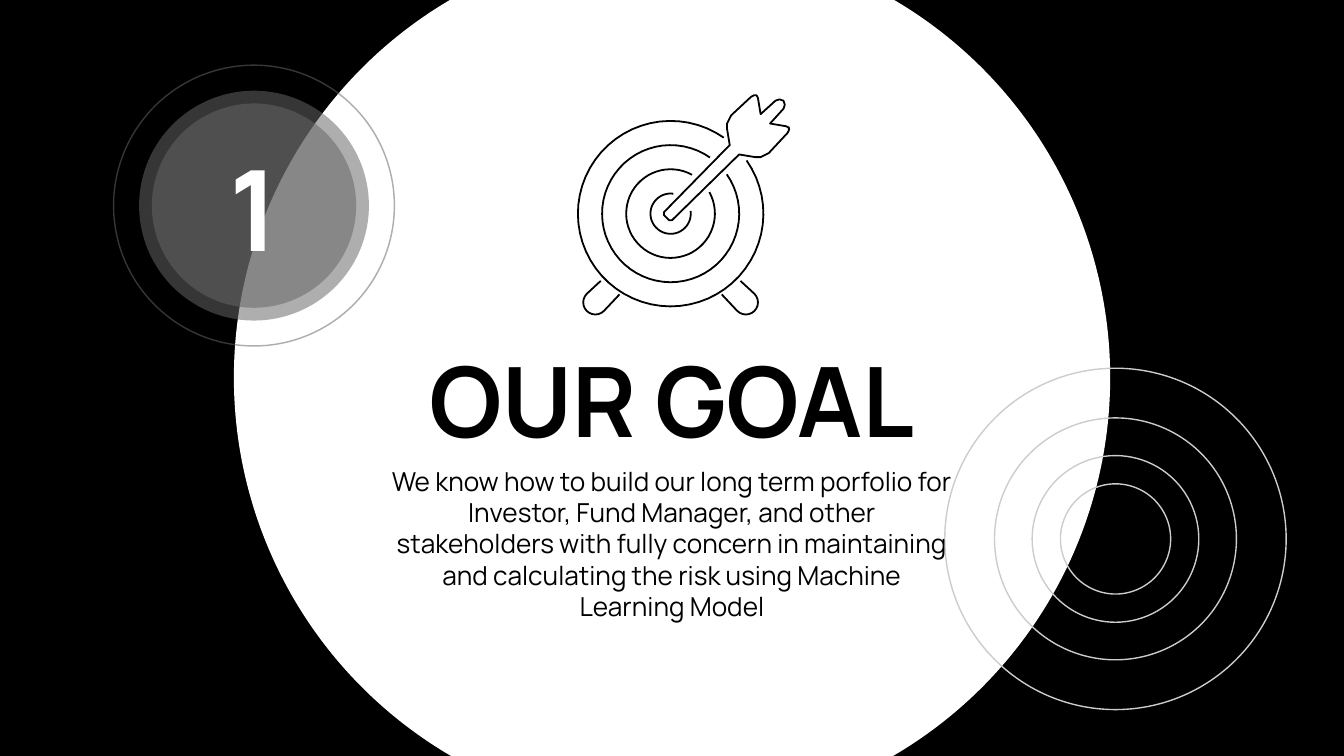
import math

import pptx
import pptx.util
import pptx.dml.color
import pptx.enum.shapes
import pptx.enum.text
import pptx.oxml.ns
import lxml.etree

Inches = pptx.util.Inches
Pt = pptx.util.Pt
Kind = pptx.enum.shapes.MSO_SHAPE
Anchor = pptx.enum.text.MSO_ANCHOR
Align = pptx.enum.text.PP_ALIGN

HUES = {"black": "000000", "white": "FFFFFF", "ring": "CCCCCC", "gray": "666666"}
FONT = "Manrope"


def color(name):
    return pptx.dml.color.RGBColor.from_string(HUES[name])


def paint(shape, fill=None, line=None, width=0.75, alpha=None):
    """Set fill, outline and opacity (percent) of a shape."""
    shape.shadow.inherit = False
    if fill:
        shape.fill.solid()
        shape.fill.fore_color.rgb = color(fill)
    else:
        shape.fill.background()
    if line:
        shape.line.color.rgb = color(line)
        shape.line.width = Pt(width)
    else:
        shape.line.fill.background()
    if alpha:
        qn = pptx.oxml.ns.qn
        tint = shape.element.spPr.find(qn("a:solidFill")).find(qn("a:srgbClr"))
        lxml.etree.SubElement(tint, qn("a:alpha")).set("val", str(alpha * 1000))


def disc(slide, mid, size, kind=Kind.OVAL, **look):
    """Add a round shape of the given diameter, centred on mid."""
    x, y = mid
    shape = slide.shapes.add_shape(
        kind, Inches(x - size / 2), Inches(y - size / 2), Inches(size), Inches(size))
    paint(shape, **look)
    return shape


def write(shape, box, text, size, hue, anchor, bold=False):
    """Place a text shape in its box and format its only paragraph."""
    shape.left, shape.top, shape.width, shape.height = map(Inches, box)
    frame = shape.text_frame
    frame.text = text
    edges = {f"margin_{side}": Inches(0.1) for side in ("left", "right", "top", "bottom")}
    look = {"word_wrap": True, "auto_size": pptx.enum.text.MSO_AUTO_SIZE.NONE,
            "vertical_anchor": anchor, **edges}
    for key, val in look.items():
        setattr(frame, key, val)
    para = frame.paragraphs[0]
    para.alignment = Align.CENTER
    para.line_spacing = 1.0
    font = para.runs[0].font
    for key, val in {"name": FONT, "size": Pt(size), "bold": bold}.items():
        setattr(font, key, val)
    font.color.rgb = color(hue)


def arc(mid, radius, start, end, step=6):
    """Points counterclockwise from start to end, in degrees."""
    count = max(2, math.ceil((end - start) / step))
    turns = [math.radians(start + (end - start) * i / count) for i in range(count + 1)]
    return [(mid[0] + radius * math.cos(t), mid[1] - radius * math.sin(t)) for t in turns]


def trace(slide, points, close=False):
    """Draw a thin black outline through the points."""
    dots = [(Inches(x), Inches(y)) for x, y in points]
    pen = slide.shapes.build_freeform(*dots[0])
    pen.add_line_segments(dots[1:], close=close)
    paint(pen.convert_to_shape(), line="black", width=0.96)


def target(slide, mid):
    """Dartboard on two legs with a dart in its centre."""
    x, y = mid

    def shift(points):
        return [(x + dx, y + dy) for dx, dy in points]

    # Rings, open where the dart crosses at 45 degrees
    for radius, gap in ((0.69, 10), (0.51, 10), (0.33, 16), (0.15, 37)):
        trace(slide, arc(mid, radius, 45 + gap, 405 - gap))

    # Legs, mirrored left and right
    leg = [(-0.52, 0.5), *arc((-0.56, 0.66), 0.09, 135, 315, 15), (-0.38, 0.6)]
    for side in (1, -1):
        trace(slide, shift((side * dx, dy) for dx, dy in leg))

    # Dart, mirrored about its diagonal axis
    half = [(-0.03, 0.03), (-0.05, 0.01), (-0.05, -0.01), (-0.03, -0.03),
            (0.44, -0.51), (0.42, -0.63), (0.42, -0.67), (0.45, -0.73),
            (0.6, -0.87), (0.62, -0.88), (0.64, -0.88), (0.65, -0.86),
            (0.67, -0.74), (0.78, -0.84), (0.81, -0.85), (0.84, -0.84)]
    twin = [(-dy, -dx) for dx, dy in reversed(half[1:-1])]
    trace(slide, shift(half + twin), close=True)


def rings(slide, mid):
    """Set of concentric outlines."""
    for size in (2.54, 1.24, 1.8, 0.82):
        disc(slide, mid, size, line="ring")


def badge(slide, mid, text):
    """Translucent number badge with a thin halo."""
    for size in (1.71, 1.52):
        disc(slide, mid, size, fill="gray", alpha=53)
    halo = disc(slide, mid, 2.1, Kind.DONUT, fill="gray", alpha=53)
    halo.adjustments[0] = 0.005
    box = (mid[0] - 0.76, mid[1] - 0.75, 1.52, 1.52)
    label = slide.shapes.add_textbox(0, 0, 0, 0)
    write(label, box, text, 60, "white", Anchor.MIDDLE, bold=True)


def message(slide, box, head, body):
    """Title with a paragraph below it."""
    x, y, wide, high = box
    title = slide.shapes.title
    title.element.getparent().append(title.element)  # bring to front
    write(title, (x, y, wide, 1.05), head, 52, "black", Anchor.BOTTOM, bold=True)
    note = slide.shapes.add_textbox(0, 0, 0, 0)
    write(note, (x, y + 0.91, wide, high - 0.91), body, 14, "black", Anchor.TOP)


def main():
    deck = pptx.Presentation()
    deck.slide_width = Inches(10)
    deck.slide_height = deck.slide_width * 9 // 16
    slide = deck.slides.add_slide(deck.slide_layouts[5])
    slide.background.fill.solid()
    slide.background.fill.fore_color.rgb = color("black")

    disc(slide, (5, 2.81), 6.52, fill="white")
    rings(slide, (8.3, 4.01))
    badge(slide, (1.89, 1.53), "1")
    message(slide, (2.81, 2.45, 4.38, 2.24), "OUR GOAL",
            "We know how to build our long term porfolio for Investor, Fund Manager, "
            "and other stakeholders with fully concern in maintaining and calculating "
            "the risk using Machine Learning Model")
    target(slide, (4.99, 1.59))
    deck.save("out.pptx")


if __name__ == "__main__":
    main()
